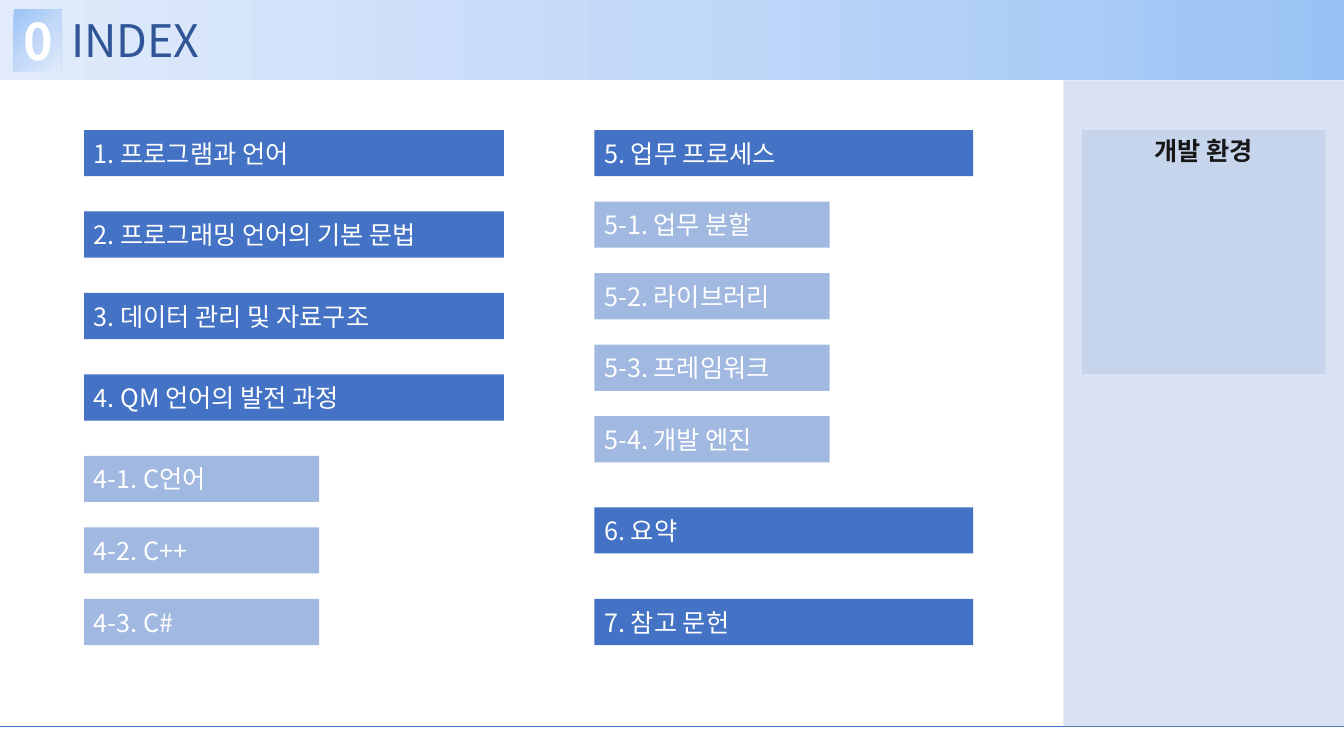
"""Build the index slide of a programming language deck."""
from copy import deepcopy
from typing import NamedTuple

from lxml.etree import SubElement
from pptx import Presentation
from pptx.dml.color import RGBColor
from pptx.enum.shapes import MSO_CONNECTOR as Link, MSO_SHAPE as Form
from pptx.enum.text import MSO_ANCHOR as Anchor, PP_ALIGN as Align
from pptx.oxml.ns import qn
from pptx.shapes.autoshape import Shape
from pptx.slide import Slide
from pptx.util import Pt

FONT = "Noto Sans CJK KR"
BLUE, PALE, WHITE = "4472C4", "B4C7E7", "FFFFFF"
FADE = ("9AC3F5", "C2D8F8", "E1EBFB")
WIDE, HIGH, BAR = 960, 540, 33


class Box(NamedTuple):
    left: float
    top: float
    width: float
    height: float


class Group(NamedTuple):
    left: float
    top: float
    width: float
    step: float
    alpha: int
    items: tuple[str, ...]


GROUPS = (
    Group(60, 92.9, 300, 58.2, 100, (
        "1. 프로그램과 언어",
        "2. 프로그래밍 언어의 기본 문법",
        "3. 데이터 관리 및 자료구조",
        "4. QM 언어의 발전 과정",
    )),
    Group(60, 325.6, 168, 51.1, 50, ("4-1. C언어", "4-2. C++", "4-3. C#")),
    Group(424.6, 92.9, 270.6, 0, 100, ("5. 업무 프로세스",)),
    Group(424.6, 144, 168, 51.1, 50, (
        "5-1. 업무 분할",
        "5-2. 라이브러리",
        "5-3. 프레임워크",
        "5-4. 개발 엔진",
    )),
    Group(424.6, 362.4, 270.6, 65.4, 100, ("6. 요약", "7. 참고 문헌")),
)


def hue(code: str) -> RGBColor:
    return RGBColor.from_string(code)


def rect(slide: Slide, box: Box) -> Shape:
    shape = slide.shapes.add_shape(Form.RECTANGLE, *map(Pt, box))
    shape.shadow.inherit = False
    shape.line.fill.background()
    return shape


def flat(slide: Slide, box: Box, code: str, alpha: int = 100) -> Shape:
    shape = rect(slide, box)
    shape.fill.solid()
    shape.fill.fore_color.rgb = hue(code)
    if alpha < 100:
        tint = shape._element.spPr.find(".//" + qn("a:srgbClr"))
        SubElement(tint, qn("a:alpha"), val=str(alpha * 1000))
    return shape


def fade(slide: Slide, box: Box, angle: float) -> Shape:
    shape = rect(slide, box)
    shape.fill.gradient()
    shape.fill.gradient_angle = angle
    first = shape._element.spPr.find(".//" + qn("a:gs"))
    first.addnext(deepcopy(first))
    for i, (stop, code) in enumerate(zip(shape.fill.gradient_stops, FADE)):
        stop.color.rgb = hue(code)
        stop.position = i / 2
    return shape


def write(shape: Shape, text: str, *, size: float = 18, code: str = WHITE,
          bold: bool = False, align: Align = Align.LEFT,
          anchor: Anchor = Anchor.MIDDLE) -> None:
    frame = shape.text_frame
    frame.word_wrap = True
    frame.vertical_anchor = anchor
    para = frame.paragraphs[0]
    para.alignment = align
    run = para.add_run()
    run.text = text
    font = run.font
    font.size, font.bold, font.name = Pt(size), bold, FONT
    font.color.rgb = hue(code)
    SubElement(run._r.get_or_add_rPr(), qn("a:ea"), typeface=FONT)


def rule(slide: Slide, y: float) -> None:
    line = slide.shapes.add_connector(Link.STRAIGHT, 0, Pt(y), Pt(WIDE), Pt(y))
    line.line.color.rgb = hue(BLUE)
    line.line.width = Pt(0.5)
    SubElement(line._element.spPr, qn("a:effectLst"))


def head(slide: Slide) -> None:
    fade(slide, Box(0, 0, WIDE, 57.4), 180)
    mark = fade(slide, Box(9.8, 6.5, 33.9, 44.8), 315)
    write(mark, "0", size=36, bold=True, align=Align.CENTER)
    title = slide.shapes.add_textbox(*map(Pt, Box(43.7, 6.5, 633, 44.8)))
    write(title, "INDEX", size=32, code="2F5597", anchor=Anchor.BOTTOM)


def index(slide: Slide) -> None:
    for group in GROUPS:
        for i, item in enumerate(group.items):
            top = group.top + i * group.step
            box = Box(group.left, top, group.width, BAR)
            write(flat(slide, box, BLUE, group.alpha), item)


def side(slide: Slide) -> None:
    flat(slide, Box(759.6, 57.4, 200.4, 461.4), PALE, 50)
    card = flat(slide, Box(772.8, 92.9, 174.2, 174.2), PALE, 50)
    write(card, "개발 환경", code="181717", bold=True,
          align=Align.CENTER, anchor=Anchor.TOP)


def main() -> None:
    deck = Presentation()
    deck.slide_width, deck.slide_height = Pt(WIDE), Pt(HIGH)
    slide = deck.slides.add_slide(deck.slide_layouts[6])
    head(slide)
    rule(slide, 518.8)
    index(slide)
    side(slide)
    deck.save("out.pptx")


if __name__ == "__main__":
    main()
